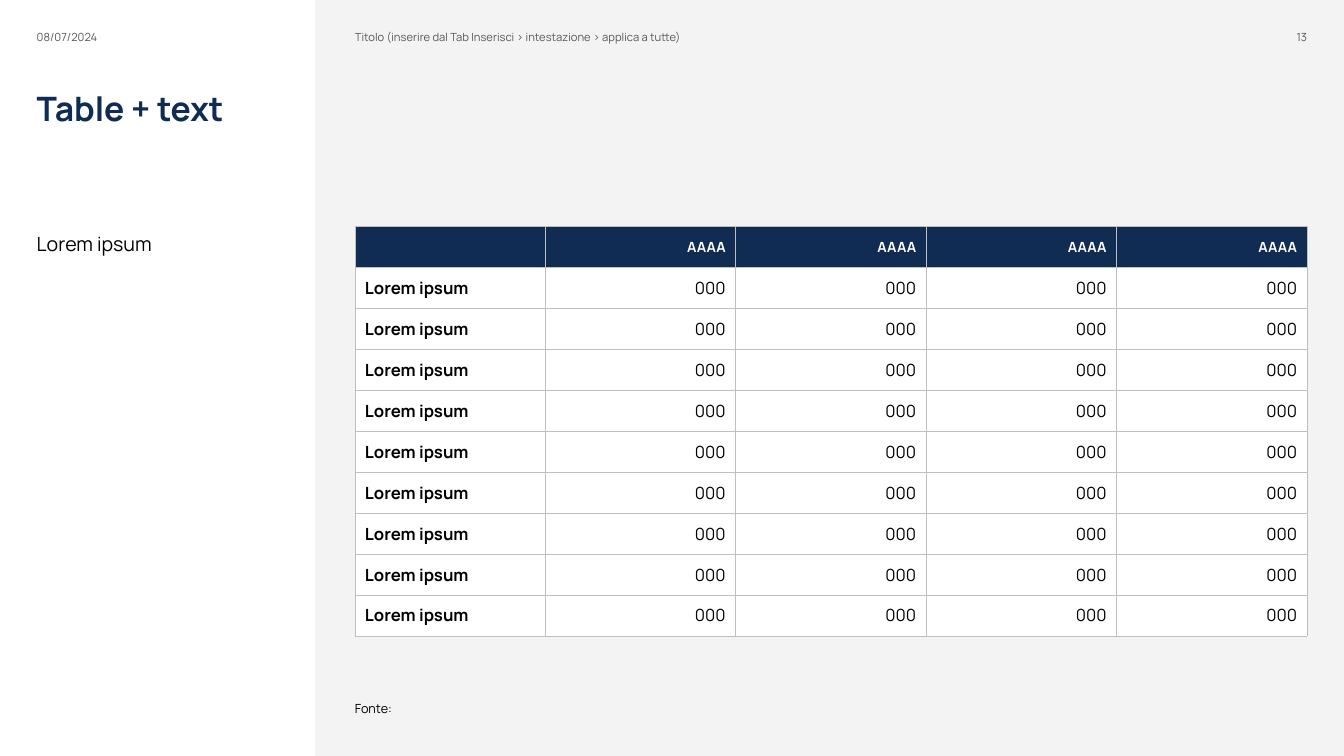
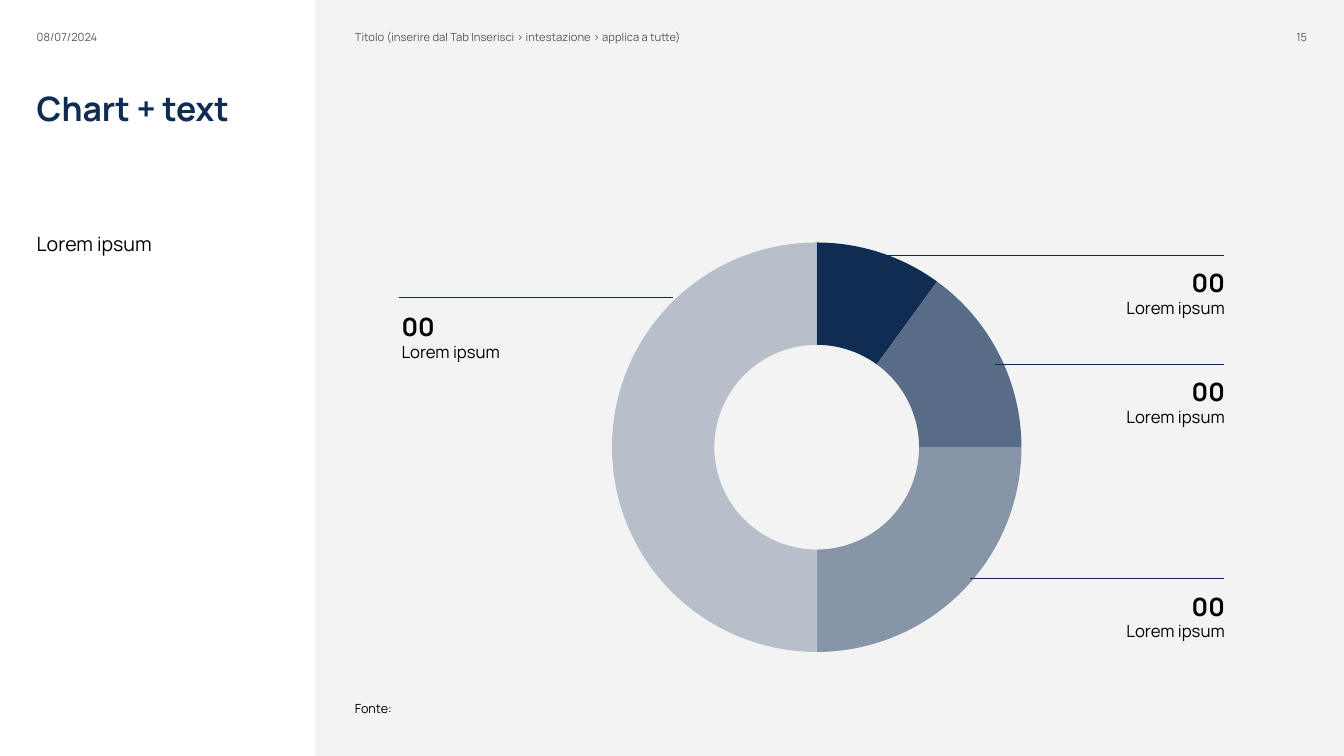
from lxml import etree
from pptx import Presentation
from pptx import util as u
from pptx.chart import data as cd
from pptx.dml.color import RGBColor
from pptx.enum import chart as ch, shapes, text
from pptx.oxml.ns import qn

PX = 9525  # EMU in one px, 96 px to the inch
WIDE, HIGH = 1280, 720
EDGE, MAIN, RIGHT = 35, 338, 1245  # side column, main area, right margin
TOP = 216
SIDE = 228
FULL = RIGHT - MAIN
COLORS = {
    "navy": "102C53", "slate": "596C87", "steel": "8795A8", "mist": "B7BFCA",
    "grey": "595959", "rule": "BFBFBF", "back": "F3F3F3",
    "white": "FFFFFF", "black": "000000",
}
LEFT, END = text.PP_ALIGN.LEFT, text.PP_ALIGN.RIGHT
HIGHUP, MID, LOW = (text.MSO_ANCHOR.TOP, text.MSO_ANCHOR.MIDDLE,
                    text.MSO_ANCHOR.BOTTOM)


def rgb(name):
    return RGBColor.from_string(COLORS[name])


def px(*nums):
    return [u.Emu(n * PX) for n in nums]


class Deck:
    font = "Manrope"

    def __init__(self):
        self.prs = Presentation()
        self.prs.slide_width, self.prs.slide_height = px(WIDE, HIGH)
        fill = self.prs.slide_master.background.fill
        fill.solid()
        fill.fore_color.rgb = rgb("back")

    def page(self, title, num):
        """Start a slide with its band, title, header line and notes."""
        self.slide = self.prs.slides.add_slide(self.prs.slide_layouts[5])
        self.shapes = self.slide.shapes
        self.band()
        self.title(title)
        self.text("08/07/2024", (EDGE, 4, 250, 38), 8, "grey", anchor=LOW)
        self.text("Titolo (inserire dal Tab Inserisci > intestazione > applica a tutte)",
                  (MAIN, 4, 432, 38), 8, "grey", anchor=LOW)
        self.text(num, (RIGHT - 109, 4, 109, 38), 8, "grey", END, LOW)
        self.text("Lorem ipsum", (EDGE, TOP, SIDE, 465), 14, space=1.2)
        self.text("Fonte:", (MAIN, 652, 549, 30), 9, anchor=LOW, space=1.2)

    def band(self):
        box = self.shapes.add_shape(shapes.MSO_SHAPE.RECTANGLE,
                                    *px(0, 0, 300, HIGH))
        box.shadow.inherit = False
        box.fill.solid()
        box.fill.fore_color.rgb = rgb("white")
        box.line.fill.background()
        self.shapes._spTree.insert(2, box._element)  # behind the title

    def title(self, words):
        head = self.shapes.title
        head.left, head.top, head.width, head.height = px(EDGE, 84, SIDE, 88)
        self.frame(head.text_frame, 0, HIGHUP)
        self.run(head.text_frame.paragraphs[0], words, 24, "navy", True,
                 space=1.0)

    def frame(self, frame, inset, anchor):
        frame.word_wrap = True
        frame.auto_size = text.MSO_AUTO_SIZE.NONE
        frame.vertical_anchor = anchor
        if inset is not None:
            frame.margin_left = frame.margin_right = inset
            frame.margin_top = frame.margin_bottom = inset

    def run(self, para, words, size, color="black", bold=False, align=LEFT,
            space=None):
        para.alignment = align
        if space:
            para.line_spacing = space
        run = para.add_run()
        run.text = words
        font = run.font
        font.name, font.size, font.bold = self.font, u.Pt(size), bold
        font.color.rgb = rgb(color)

    def text(self, words, box, size, color="black", align=LEFT,
             anchor=HIGHUP, space=None):
        frame = self.shapes.add_textbox(*px(*box)).text_frame
        self.frame(frame, 0, anchor)
        self.run(frame.paragraphs[0], words, size, color, False, align, space)

    def label(self, x, y, align):
        """A bold figure above its caption."""
        frame = self.shapes.add_textbox(*px(x, y, 180, 59)).text_frame
        self.frame(frame, None, HIGHUP)
        self.run(frame.paragraphs[0], "00", 18, bold=True, align=align)
        self.run(frame.add_paragraph(), "Lorem ipsum", 12, align=align)

    def line(self, start, end, y):
        line = self.shapes.add_connector(shapes.MSO_CONNECTOR.STRAIGHT,
                                         *px(start, y, end, y))
        line.line.color.rgb = rgb("navy")
        line.line.width = u.Pt(0.5)
        etree.SubElement(line._element.spPr, qn("a:effectLst"))

    def cell(self, cell, words, size, color, bold, align, fill):
        cell.vertical_anchor = MID
        para = cell.text_frame.paragraphs[0]
        if words:
            self.run(para, words, size, color, bold, align)
        else:
            etree.SubElement(para._p, qn("a:endParaRPr"), sz=str(size * 100))
        props = cell._tc.get_or_add_tcPr()
        for side in ("lnL", "lnR", "lnT", "lnB"):
            edge = etree.SubElement(props, qn("a:" + side), w=str(u.Pt(0.5)))
            paint = etree.SubElement(edge, qn("a:solidFill"))
            etree.SubElement(paint, qn("a:srgbClr"), val=COLORS["rule"])
        cell.fill.solid()
        cell.fill.fore_color.rgb = rgb(fill)

    def table(self, rows, box):
        table = self.shapes.add_table(len(rows), len(rows[0]), *px(*box)).table
        table.horz_banding = False
        for r, row in enumerate(rows):
            for c, words in enumerate(row):
                if r == 0:
                    style = 10, "white", True, END, "navy"
                else:
                    style = 12, "black", c == 0, END if c else LEFT, "white"
                self.cell(table.cell(r, c), words, *style)

    def ring(self, vals, names, box):
        data = cd.CategoryChartData()
        data.categories = [str(n + 1) for n in range(len(vals))]
        data.add_series("Series 1", vals)
        chart = self.shapes.add_chart(ch.XL_CHART_TYPE.DOUGHNUT, *px(*box),
                                      data).chart
        chart.has_legend = chart.has_title = False
        chart.font.name, chart.font.size = self.font, u.Pt(10)
        chart.font.color.rgb = rgb("black")
        plot = chart.plots[0]
        plot.vary_by_categories = True
        plot.has_data_labels = False
        for n, name in enumerate(names):
            form = plot.series[0].points[n].format
            form.fill.solid()
            form.fill.fore_color.rgb = rgb(name)
            form.line.fill.background()
        # Hole size and plot position
        area = chart._chartSpace.find(".//" + qn("c:plotArea"))
        area.find(".//" + qn("c:holeSize")).set("val", "75")
        for old in area.findall(qn("c:layout")):
            area.remove(old)
        layout = etree.Element(qn("c:layout"))
        area.insert(0, layout)
        manual = etree.SubElement(layout, qn("c:manualLayout"))
        for tag, val in (("layoutTarget", "inner"), ("xMode", "edge"),
                         ("yMode", "edge"), ("x", "0.27"), ("y", "0.035"),
                         ("w", "0.43"), ("h", "0.93")):
            etree.SubElement(manual, qn("c:" + tag), val=val)


def main():
    deck = Deck()

    # Table slide
    deck.page("Table + text", "13")
    rows = [[""] + ["AAAA"] * 4] + [["Lorem ipsum"] + ["000"] * 4] * 9
    deck.table(rows, (MAIN, TOP, FULL, 390))

    # Chart slide
    deck.page("Chart + text", "15")
    deck.ring((10, 15, 25, 50), ("navy", "slate", "steel", "mist"),
              (MAIN, TOP, FULL, 420))
    for start, y in ((819, 243), (948, 347), (924, 551)):
        deck.line(start, 1166, y)
        deck.label(996, y + 7, END)
    deck.line(380, 641, 283)
    deck.label(373, 292, LEFT)

    deck.prs.save("out.pptx")


if __name__ == "__main__":
    main()
